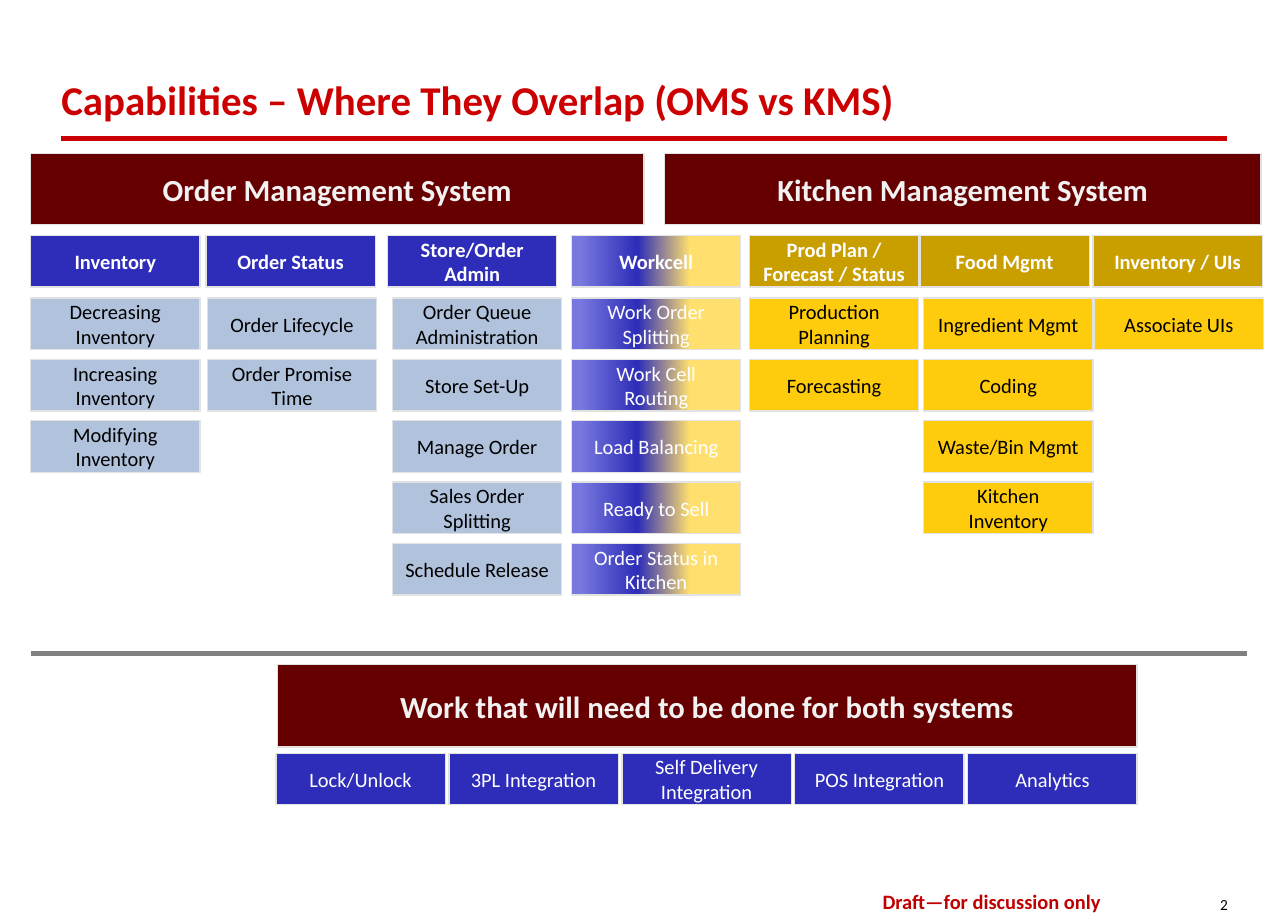
from lxml import etree
from pptx import Presentation, util as u
from pptx.dml.color import RGBColor
from pptx.enum import shapes, text
from pptx.oxml.ns import qn

PX = 9144
SLIDE_W, SLIDE_H = 1050, 750
BOX_W, BOX_H = 138, 42
HEADER_Y, ITEM_Y, ITEM_STEP = 192, 243, 50
SHARED_X, SHARED_Y, SHARED_STEP = 225, 614, 141

MAROON, BLUE, PALE_BLUE = "660000", "2D2DB9", "B1C2DD"
GOLD, YELLOW = "C99F00", "FFCC0D"
BLACK, WHITE, OFF_WHITE = "000000", "FFFFFF", "F2F2F2"
BLEND = [(0, "FFE06E"), (30, "FFE06E"), (61, BLUE), (95, "7878DE")]

OMS = (BLUE, PALE_BLUE, BLACK)
BOTH = (BLEND, BLEND, WHITE)
KMS = (GOLD, YELLOW, BLACK)

banners = [
    ("Order Management System", 25, 125, 500, 58),
    ("Kitchen Management System", 542, 125, 486, 58),
    ("Work that will need to be done for both systems", 226, 542, 701, 67),
]
columns = [
    ("Inventory", OMS, 25, 25,
     ["Decreasing Inventory", "Increasing Inventory", "Modifying Inventory"]),
    ("Order Status", OMS, 168, 169, ["Order Lifecycle", "Order Promise Time"]),
    ("Store/Order Admin", OMS, 316, 320,
     ["Order Queue Administration", "Store Set-Up", "Manage Order",
      "Sales Order Splitting", "Schedule Release"]),
    ("Workcell", BOTH, 466, 466,
     ["Work Order Splitting", "Work Cell Routing", "Load Balancing",
      "Ready to Sell", "Order Status in Kitchen"]),
    ("Prod Plan / Forecast / Status", KMS, 611, 611,
     ["Production Planning", "Forecasting"]),
    ("Food Mgmt", KMS, 750, 753,
     ["Ingredient Mgmt", "Coding", "Waste/Bin Mgmt", "Kitchen Inventory"]),
    ("Inventory / UIs", KMS, 891, 892, ["Associate UIs"]),
]
shared_work = ["Lock/Unlock", "3PL Integration", "Self Delivery Integration",
               "POS Integration", "Analytics"]
rules = [(50, 1000, 113, "CC0000"), (25, 1017, 533, "808080")]

L, C, R = text.PP_ALIGN.LEFT, text.PP_ALIGN.CENTER, text.PP_ALIGN.RIGHT
TOP, MIDDLE, BOTTOM = (text.MSO_ANCHOR.TOP, text.MSO_ANCHOR.MIDDLE,
                       text.MSO_ANCHOR.BOTTOM)
labels = [
    ("Capabilities – Where They Overlap (OMS vs KMS)", (50, 35, 819, 71),
     24, "CC0000", True, L, BOTTOM, (0, 5), True),
    ("Draft—for discussion only", (718, 725, 181, 20),
     12, "C00000", True, C, TOP, (0, 0), False),
    ("2", (978, 730, 23, 14), 9, BLACK, False, R, TOP, (0, 0), False),
]


def rgb(value):
    return RGBColor.from_string(value)


def emu(*lengths):
    return [u.Emu(n * PX) for n in lengths]


def write(sp, content, size, color, bold, align=C, anchor=MIDDLE,
          insets=(10, 10), wrap=True):
    tf = sp.text_frame
    tf.word_wrap = wrap
    tf.vertical_anchor = anchor
    tf.margin_left = tf.margin_right = u.Emu(insets[0] * PX)
    tf.margin_top = tf.margin_bottom = u.Emu(insets[1] * PX)
    tf.text = content
    p = tf.paragraphs[0]
    p.alignment = align
    font = p.runs[0].font
    font.name, font.size, font.bold = "Calibri", u.Pt(size), bold
    font.color.rgb = rgb(color)


def paint(sp, fill):
    if isinstance(fill, str):
        sp.fill.solid()
        sp.fill.fore_color.rgb = rgb(fill)
        return
    sp.fill.gradient()
    sp.fill.gradient_angle = 180
    stops = next(sp._element.iter(qn("a:gsLst")))
    for old in list(stops):
        stops.remove(old)
    for percent, color in fill:
        stop = etree.SubElement(stops, qn("a:gs"), pos=str(percent * 1000))
        etree.SubElement(stop, qn("a:srgbClr"), val=color)


def add_box(s, content, x, y, w, h, fill, color, size=12, bold=False):
    sp = s.shapes.add_shape(shapes.MSO_SHAPE.RECTANGLE, *emu(x, y, w, h))
    sp.shadow.inherit = False
    paint(sp, fill)
    sp.line.color.rgb = rgb("E2E2E2")
    sp.line.width = u.Pt(0.75)
    write(sp, content, size, color, bold)


def add_rule(s, x1, x2, y, color):
    line = s.shapes.add_connector(shapes.MSO_CONNECTOR.STRAIGHT,
                                  *emu(x1, y, x2, y))
    line.line.color.rgb = rgb(color)
    line.line.width = u.Pt(3)
    etree.SubElement(line._element.spPr, qn("a:effectLst"))


def main():
    prs = Presentation()
    prs.slide_width, prs.slide_height = emu(SLIDE_W, SLIDE_H)
    s = prs.slides.add_slide(prs.slide_layouts[6])

    for content, place, *style in labels:
        write(s.shapes.add_textbox(*emu(*place)), content, *style)
    for rule in rules:
        add_rule(s, *rule)
    for banner in banners:
        add_box(s, *banner, MAROON, OFF_WHITE, 18, True)
    for header, (head_fill, item_fill, color), head_x, item_x, items in columns:
        add_box(s, header, head_x, HEADER_Y, BOX_W, BOX_H, head_fill, WHITE,
                bold=True)
        for i, item in enumerate(items):
            add_box(s, item, item_x, ITEM_Y + i * ITEM_STEP, BOX_W, BOX_H,
                    item_fill, color)
    for i, work in enumerate(shared_work):
        add_box(s, work, SHARED_X + i * SHARED_STEP, SHARED_Y, BOX_W, BOX_H,
                BLUE, WHITE)

    prs.save("out.pptx")


if __name__ == "__main__":
    main()
